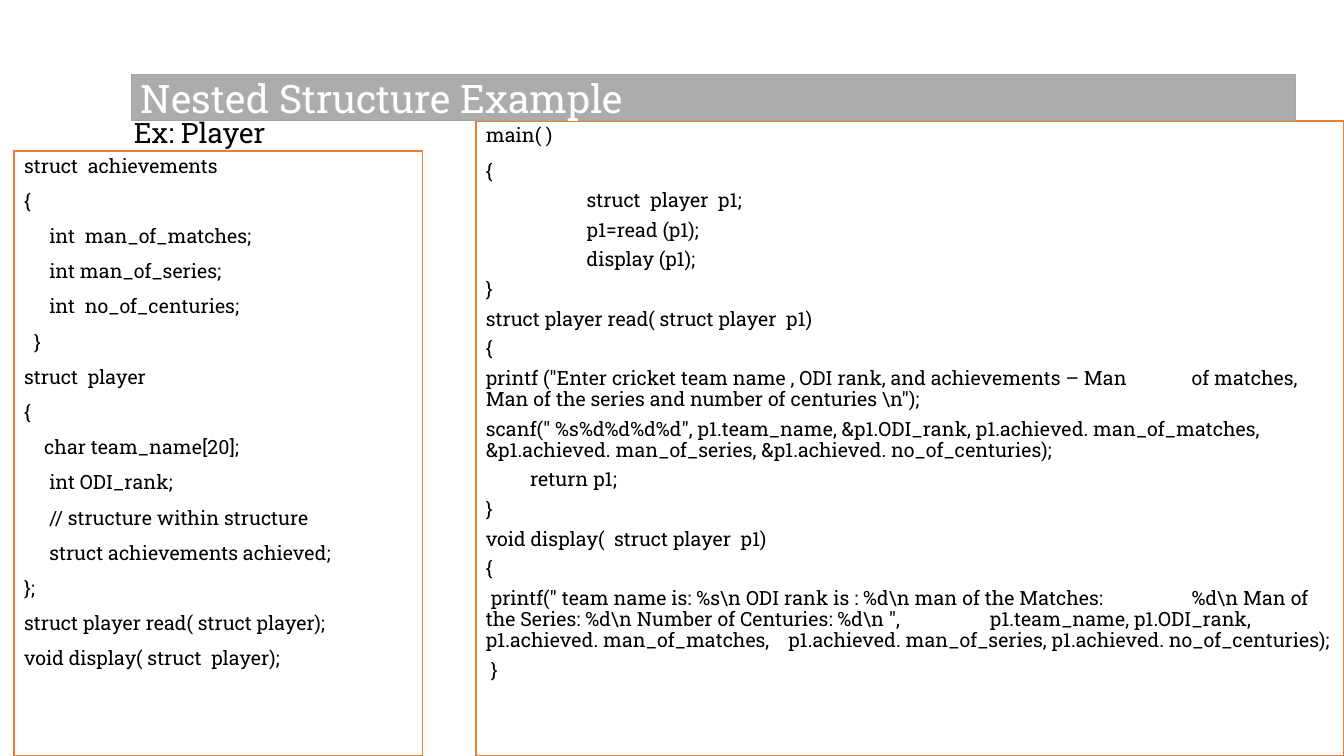
import pptx
import pptx.util
import pptx.dml.color
import pptx.enum.shapes
import pptx.enum.text

Inches, Pt = pptx.util.Inches, pptx.util.Pt
MIDDLE = pptx.enum.text.MSO_ANCHOR.MIDDLE
COLORS = {"text": "000000", "paper": "FFFFFF", "frame": "ED7D31",
          "banner": "AEABAB", "banner_edge": "A5A5A5"}
FONT = "Roboto Slab"

# Each code line: first-line indent (inches), space before (points), text
DECLARATIONS = [
    (0, 0, "struct  achievements"),
    (0, 10, "{"),
    (0.25, 10, "int  man_of_matches;"),
    (0.25, 10, "int man_of_series;"),
    (0.25, 10, "int  no_of_centuries;"),
    (0.1, 10, "}"),
    (0, 10, "struct  player"),
    (0, 10, "{"),
    (0.2, 10, "char team_name[20];"),
    (0.25, 10, "int ODI_rank;"),
    (0.25, 10, "// structure within structure"),
    (0.25, 10, "struct achievements achieved;"),
    (0, 10, "};"),
    (0, 10, "struct player read( struct player);"),
    (0, 10, "void display( struct  player);"),
]
FUNCTIONS = [
    (0, 0, "main( )"),
    (0, 10, "{"),
    (1, 6, "struct  player  p1;"),
    (1, 6, "p1=read (p1);"),
    (1, 6, "display (p1);"),
    (0, 6, "}"),
    (0, 6, "struct player read( struct player  p1)"),
    (0, 6, "{"),
    (0, 6, 'printf ("Enter cricket team name , ODI rank, and achievements – Man '
           '\tof matches, Man of the series and number of centuries \\n");'),
    (0, 6, 'scanf(" %s%d%d%d%d", p1.team_name, &p1.ODI_rank, p1.achieved. '
           'man_of_matches,  &p1.achieved. man_of_series, '
           '&p1.achieved. no_of_centuries);'),
    (0.44, 6, "return p1;"),
    (0, 6, "}"),
    (0, 6, "void display(  struct player  p1)"),
    (0, 6, "{"),
    (0.05, 6, 'printf(" team name is: %s\\n ODI rank is : %d\\n man of the Matches: '
              '\t%d\\n Man of the Series: %d\\n Number of Centuries: %d\\n ", '
              '\tp1.team_name, p1.ODI_rank, p1.achieved. man_of_matches,  '
              '\tp1.achieved. man_of_series, p1.achieved. no_of_centuries);'),
    (0.05, 6, "}"),
]


def rgb(name):
    """Return the named colour."""
    return pptx.dml.color.RGBColor.from_string(COLORS[name])


def add_run(p, text, size, color="text"):
    """Add one styled run to a paragraph."""
    r = p.add_run()
    r.text = text
    r.font.name, r.font.size = FONT, Pt(size)
    r.font.color.rgb = rgb(color)


def add_panel(slide, box, fill, line, width):
    """Add a bordered rectangle with wrapped text and return it."""
    sp = slide.shapes.add_shape(pptx.enum.shapes.MSO_SHAPE.RECTANGLE,
                                *map(Inches, box))
    sp.shadow.inherit = False
    sp.fill.solid()
    sp.fill.fore_color.rgb = rgb(fill)
    sp.line.color.rgb = rgb(line)
    sp.line.width = Pt(width)
    sp.text_frame.word_wrap = True
    return sp


def add_heading(slide, box, text):
    """Add the small heading above the declarations."""
    tf = slide.shapes.add_textbox(*map(Inches, box)).text_frame
    tf.word_wrap = True
    tf.vertical_anchor = MIDDLE
    p = tf.paragraphs[0]
    p.line_spacing = 0.9
    add_run(p, text, 20)


def add_code(slide, box, lines):
    """Add a framed code listing, one paragraph per code line."""
    tf = add_panel(slide, box, "paper", "frame", 1).text_frame
    tf.vertical_anchor = pptx.enum.text.MSO_ANCHOR.TOP
    for i, (indent, before, text) in enumerate(lines):
        p = tf.add_paragraph() if i else tf.paragraphs[0]
        p.alignment = pptx.enum.text.PP_ALIGN.LEFT
        p.line_spacing = 0.9
        p.space_before = Pt(before)
        pPr = p._p.get_or_add_pPr()
        pPr.set("marL", "0")
        pPr.set("indent", str(Inches(indent)))
        pPr.set("defTabSz", str(Inches(1)))
        add_run(p, text, 14)


def add_banner(slide, box, text):
    """Add the grey title banner."""
    tf = add_panel(slide, box, "banner", "banner_edge", 0.75).text_frame
    tf.vertical_anchor = MIDDLE
    p = tf.paragraphs[0]
    p.alignment = pptx.enum.text.PP_ALIGN.LEFT
    add_run(p, text, 28, "paper")


prs = pptx.Presentation()
prs.slide_width, prs.slide_height = Inches(13.33), Inches(7.5)
s = prs.slides.add_slide(prs.slide_layouts[6])
add_code(s, (0.14, 1.5, 4.05, 6), DECLARATIONS)
add_code(s, (4.72, 1.2, 8.61, 6.3), FUNCTIONS)
add_banner(s, (1.3, 0.74, 11.55, 0.46), "Nested Structure Example")
add_heading(s, (1.23, 1.12, 3, 0.43), "Ex: Player")
prs.save("out.pptx")
